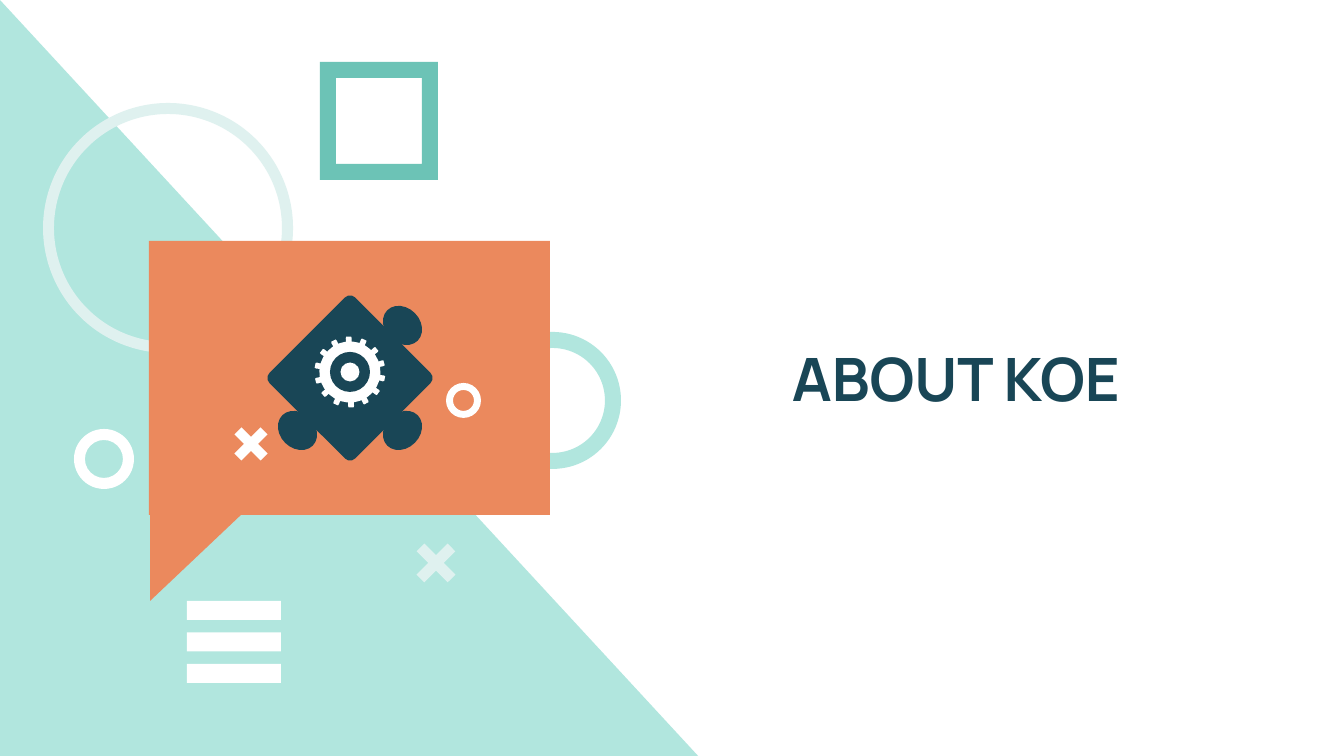
"""Build the ABOUT KOE section slide."""
import math

import pptx
import pptx.dml.color
import pptx.enum.shapes
import pptx.enum.text
import pptx.util

WIDTH, HEIGHT = 1344, 756
SCALE = 9144000 / WIDTH
KIND = pptx.enum.shapes.MSO_SHAPE
MINT, PALE, TEAL = "B1E6DE", "DFF1EF", "6CC3B6"
ORANGE, NAVY, WHITE = "EB895D", "194656", "FFFFFF"

TITLE = "ABOUT KOE"
TITLE_BOX = (694, 337, 524, 81)
BACK_RINGS = [(43, 103, 250, 11, PALE), (484, 332, 137, 16, MINT)]
BUBBLE = (149, 241, 401, 274)
TAIL = [(262, 495), (150, 601), (150, 495)]
OUTER_RING = (74, 429, 60, 11, WHITE)
INNER_RING = (446, 383, 35, 7, WHITE)
OUTER_CROSS = (436, 563, 44, 11, PALE)
INNER_CROSS = (251, 444, 37, 10, WHITE)
FRAME = (320, 62, 118, 16, TEAL)
BAR_LEFT, BAR_TOP, BAR_STEP, BAR_SIZE, BAR_COUNT = 187, 601, 31.5, (94, 19), 3
PUZZLE_CENTER, PUZZLE_SIDE, PUZZLE_CORNER = (350, 378), 121, 7
LOBE_OFFSET, LOBE_SIZE = 52.5, (43, 35)
LOBES = [(1, -1), (1, 1), (-1, 1)]
GEAR_CENTER, GEAR_TEETH, GEAR_START = (350, 372), 14, -92
TOOTH_PROFILE = [(-8, 30.5), (-5.2, 30.5), (-5, 34), (-4, 35.5),
                 (4, 35.5), (5, 34), (5.2, 30.5), (8, 30.5)]
GEAR_DISCS = [(20, NAVY), (9.5, WHITE)]


def emu(pixels):
    return pptx.util.Emu(round(pixels * SCALE))


def color(value):
    return pptx.dml.color.RGBColor.from_string(value)


def paint(shape, fill):
    shape.fill.solid()
    shape.fill.fore_color.rgb = color(fill)
    shape.line.fill.background()
    shape.shadow.inherit = False
    return shape


def add_shape(page, kind, box, fill, adjust=None, rotation=0):
    shape = paint(page.shapes.add_shape(kind, *map(emu, box)), fill)
    if adjust is not None:
        shape.adjustments[0] = adjust
    shape.rotation = rotation
    return shape


def add_centered(page, kind, center, size, fill, adjust=None, rotation=0):
    box = (center[0] - size[0] / 2, center[1] - size[1] / 2, *size)
    return add_shape(page, kind, box, fill, adjust, rotation)


def add_hollow(page, kind, left, top, size, thickness, fill):
    add_shape(page, kind, (left, top, size, size), fill, thickness / size)


def add_cross(page, x, y, length, thickness, fill):
    for angle in (-45, 45):
        add_centered(page, KIND.RECTANGLE, (x, y), (length, thickness), fill, rotation=angle)


def add_outline(page, points, fill):
    corners = [(emu(x), emu(y)) for x, y in points]
    builder = page.shapes.build_freeform(*corners[0])
    builder.add_line_segments(corners[1:])
    paint(builder.convert_to_shape(), fill)


def add_text(page, text, box, size, font, fill, bold=False):
    frame = page.shapes.add_textbox(*map(emu, box)).text_frame
    frame.word_wrap = True
    frame.vertical_anchor = pptx.enum.text.MSO_ANCHOR.MIDDLE
    for side in ("left", "top", "right", "bottom"):
        setattr(frame, "margin_" + side, pptx.util.Inches(0.1))
    para = frame.paragraphs[0]
    para.alignment = pptx.enum.text.PP_ALIGN.CENTER
    span = para.add_run()
    span.text = text
    span.font.size = pptx.util.Pt(size)
    span.font.name = font
    span.font.bold = bold
    span.font.color.rgb = color(fill)


def add_puzzle(page):
    x, y = PUZZLE_CENTER
    add_centered(page, KIND.ROUNDED_RECTANGLE, PUZZLE_CENTER, (PUZZLE_SIDE, PUZZLE_SIDE),
                 NAVY, PUZZLE_CORNER / PUZZLE_SIDE, 45)
    for across, down in LOBES:
        center = (x + across * LOBE_OFFSET, y + down * LOBE_OFFSET)
        add_centered(page, KIND.OVAL, center, LOBE_SIZE, NAVY, rotation=-45 * across * down)


def add_gear(page):
    x, y = GEAR_CENTER
    points = []
    for tooth in range(GEAR_TEETH):
        for turn, radius in TOOTH_PROFILE:
            angle = math.radians(GEAR_START + tooth * 360 / GEAR_TEETH + turn)
            points.append((x + radius * math.cos(angle), y + radius * math.sin(angle)))
    add_outline(page, points, WHITE)
    for radius, fill in GEAR_DISCS:
        add_centered(page, KIND.OVAL, GEAR_CENTER, (2 * radius, 2 * radius), fill)


deck = pptx.Presentation()
deck.slide_width, deck.slide_height = emu(WIDTH), emu(HEIGHT)
page = deck.slides.add_slide(deck.slide_layouts[6])

add_shape(page, KIND.RIGHT_TRIANGLE, (0, 0, 700, 758), MINT)
add_text(page, TITLE, TITLE_BOX, size=32, font="Manrope", fill=NAVY, bold=True)
for ring in BACK_RINGS:
    add_hollow(page, KIND.DONUT, *ring)
add_shape(page, KIND.RECTANGLE, BUBBLE, ORANGE)
add_outline(page, TAIL, ORANGE)
add_hollow(page, KIND.DONUT, *OUTER_RING)
add_cross(page, *OUTER_CROSS)
add_hollow(page, KIND.FRAME, *FRAME)
for row in range(BAR_COUNT):
    add_shape(page, KIND.RECTANGLE, (BAR_LEFT, BAR_TOP + row * BAR_STEP, *BAR_SIZE), WHITE)
add_puzzle(page)
add_gear(page)
add_hollow(page, KIND.DONUT, *INNER_RING)
add_cross(page, *INNER_CROSS)

deck.save("out.pptx")
